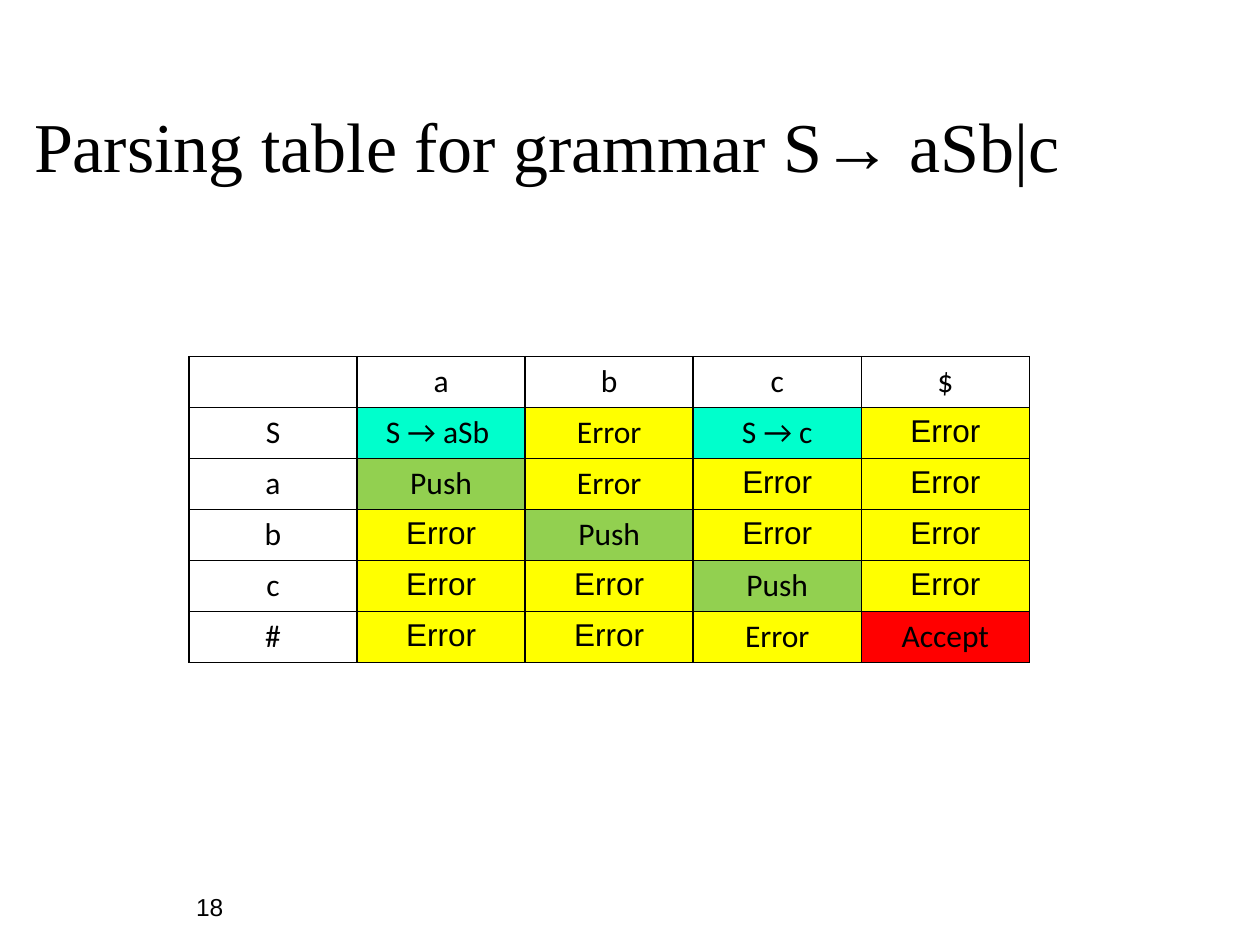
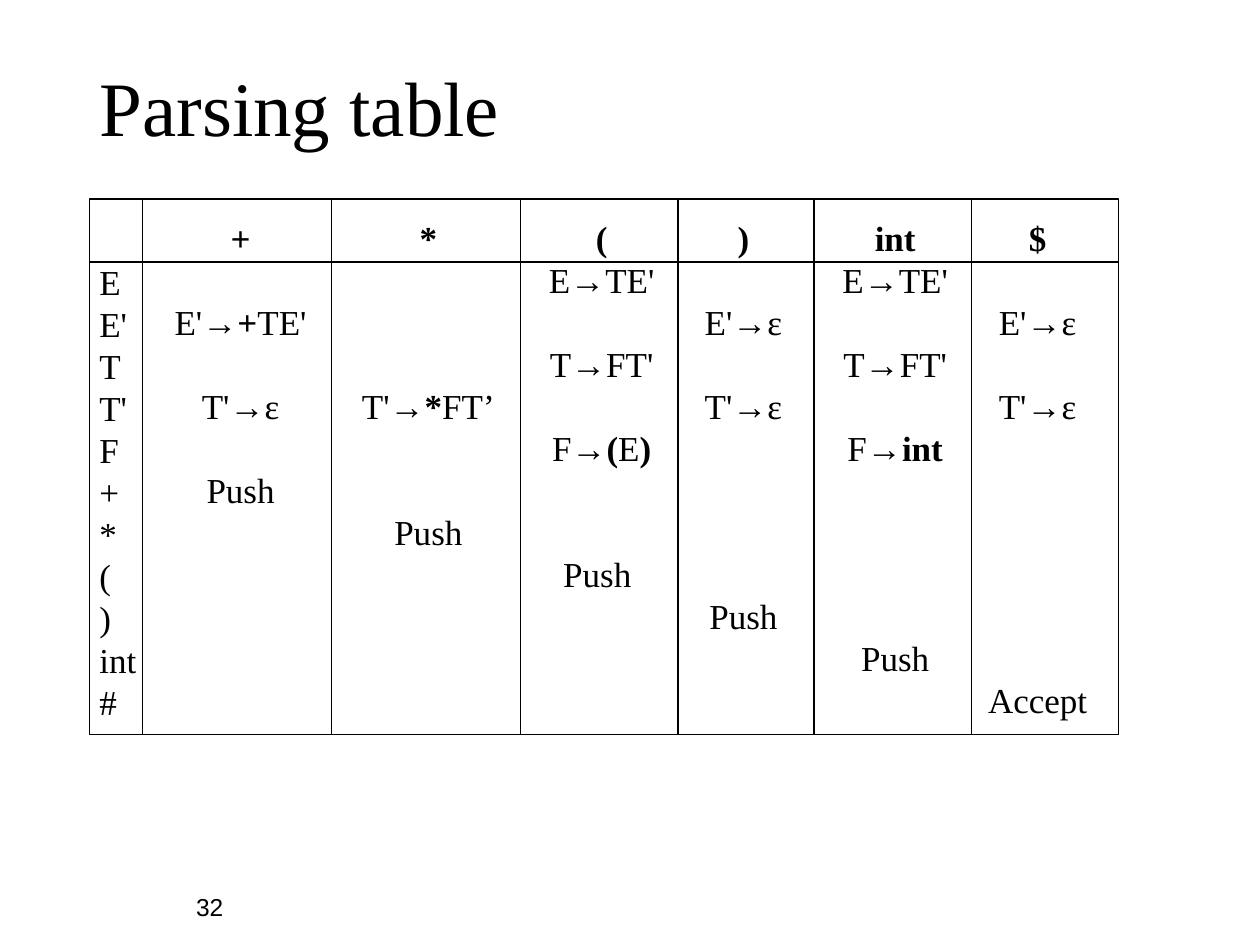
from pptx import Presentation
from pptx.dml.color import RGBColor
from pptx.enum.shapes import MSO_CONNECTOR, MSO_SHAPE
from pptx.enum.text import MSO_ANCHOR, MSO_AUTO_SIZE, PP_ALIGN
from pptx.oxml.ns import qn
from pptx.util import Inches, Pt
from lxml.etree import SubElement

COLORS = {
    "black": "000000",
    "rule": "00FFCC",
    "error": "FFFF00",
    "push": "92D050",
    "accept": "FF0000",
}
BLACK = RGBColor.from_string(COLORS["black"])
SERIF, SANS, TABLE_FONT = "Times New Roman", "Arial", "Calibri"


def format_paragraph(paragraph, font, size, align):
    paragraph.alignment = align
    paragraph.font.name = font
    paragraph.font.size = Pt(size)
    paragraph.font.color.rgb = BLACK


def start_slide(heading, size, box, number):
    """Add a slide with its title and page number."""
    slide = prs.slides.add_slide(prs.slide_layouts[5])
    title = slide.shapes.title
    title.left, title.top, title.width, title.height = map(Inches, box)
    title.text = heading
    title.text_frame.auto_size = MSO_AUTO_SIZE.NONE
    title.text_frame.vertical_anchor = MSO_ANCHOR.MIDDLE
    title.text_frame.paragraphs[0].line_spacing = 0.9
    format_paragraph(title.text_frame.paragraphs[0], SERIF, size, PP_ALIGN.LEFT)

    page = slide.shapes.add_textbox(Inches(0.5), Inches(7), Inches(2.33), Inches(0.4))
    page.text_frame.text = number
    page.text_frame.word_wrap = True
    page.text_frame.vertical_anchor = MSO_ANCHOR.MIDDLE
    format_paragraph(page.text_frame.paragraphs[0], SANS, 14, PP_ALIGN.CENTER)
    return slide


prs = Presentation()
prs.slide_width, prs.slide_height = Inches(10), Inches(7.5)

# Slide 1: coloured table for the small grammar
small = start_slide("Parsing table for grammar S→ aSb|c", 40, (0.17, 0.44, 9.83, 1.5), "18")
actions = [
    ["", "a", "b", "c", "$"],
    ["S", "S → aSb ", "Error", "S → c", "Error"],
    ["a", "Push", "Error", "Error", "Error"],
    ["b", "Error", "Push", "Error", "Error"],
    ["c", "Error", "Error", "Push", "Error"],
    ["#", "Error", "Error", "Error", "Accept"],
]
calibri_errors = {(1, 2), (2, 2), (5, 3)}
action_table = small.shapes.add_table(
    6, 5, Inches(1.5), Inches(2.83), Inches(6.67), Inches(2.43)).table
action_table.first_row = action_table.horz_banding = False

for r, row in enumerate(actions):
    for c, action in enumerate(row):
        cell = action_table.cell(r, c)
        cell.text = action
        is_error = action == "Error"
        font = SANS if is_error and (r, c) not in calibri_errors else TABLE_FONT
        format_paragraph(cell.text_frame.paragraphs[0], font, 18, PP_ALIGN.CENTER)

        # Borders come before the fill in the cell properties
        properties = cell._tc.get_or_add_tcPr()
        for side in ("a:lnL", "a:lnR", "a:lnT", "a:lnB"):
            border = SubElement(properties, qn(side), w=str(Pt(1)))
            solid = SubElement(border, qn("a:solidFill"))
            SubElement(solid, qn("a:srgbClr"), val=COLORS["black"])

        key = "rule" if "→" in action else action.lower()
        if r and c:
            cell.fill.solid()
            cell.fill.fore_color.rgb = RGBColor.from_string(COLORS[key])
        else:
            cell.fill.background()

# Slide 2: expression grammar, one text column per input symbol
expression = start_slide("Parsing table", 44, (0.69, 0.16, 8.62, 1.45), "32")
row_pitch = 24
stack_symbols = ["E", "E'", "T", "T'", "F", "+", "*", "(", ")", "int", "#"]

# Each column: left, top, width, alignment, {row: text}; every second part
# between bars is bold, and row 0 holds the input symbol
columns = [
    (0.69, 2.02, 0.5, PP_ALIGN.LEFT, dict(enumerate(stack_symbols))),
    (1.28, 1.67, 1.26, PP_ALIGN.CENTER,
     {0: "|+", 2: "E'→|+|TE'", 4: "T'→ε", 6: "Push"}),
    (2.77, 1.67, 1.26, PP_ALIGN.CENTER,
     {0: "|*", 4: "T'→|*|FT’", 7: "Push"}),
    (4.25, 1.67, 1.05, PP_ALIGN.CENTER,
     {0: "|(", 1: "E→TE'", 3: "T→FT'", 5: "F→|(|E|)", 8: "Push "}),
    (5.49, 1.67, 0.82, PP_ALIGN.CENTER,
     {0: "|)", 2: "E'→ε", 4: "T'→ε", 9: "Push"}),
    (6.58, 1.67, 1.05, PP_ALIGN.CENTER,
     {0: "|int", 1: "E→TE'", 3: "T→FT'", 5: "F→|int", 10: "Push"}),
    (7.74, 1.67, 0.99, PP_ALIGN.CENTER,
     {0: "|$", 2: "E'→ε", 4: "T'→ε", 11: "Accept"}),
]
for left, top, width, align, entries in columns:
    height = 0.1 + (max(entries) + 1) * row_pitch / 72
    column = expression.shapes.add_textbox(
        Inches(left), Inches(top), Inches(width), Inches(height))
    frame = column.text_frame
    frame.word_wrap = False
    previous = 0
    for row, entry in entries.items():
        paragraph = frame.add_paragraph() if row else frame.paragraphs[0]
        paragraph.line_spacing = Pt(row_pitch)
        if row - previous > 1:
            paragraph.space_before = Pt(row_pitch * (row - previous - 1))
        previous = row
        format_paragraph(paragraph, SERIF, 20, align)
        for i, part in enumerate(entry.split("|")):
            if part:
                run = paragraph.add_run()
                run.text = part
                run.font.bold = i % 2 == 1

# Grid: header rule, column rules and outer frame
grid_left, grid_top, grid_right, grid_bottom = 0.71, 1.58, 8.88, 5.83
rules = [(grid_left, 2.08, grid_right, 2.08)]
rules += [(x, grid_top, x, grid_bottom) for x in (1.13, 2.63, 4.13, 5.38, 6.46, 7.71)]
for ends in rules:
    rule = expression.shapes.add_connector(MSO_CONNECTOR.STRAIGHT, *map(Inches, ends))
    rule.line.color.rgb = BLACK
    rule.line.width = Pt(0.75)
    SubElement(rule._element.spPr, qn("a:effectLst"))

outer = expression.shapes.add_shape(
    MSO_SHAPE.RECTANGLE, Inches(grid_left), Inches(grid_top),
    Inches(grid_right - grid_left), Inches(grid_bottom - grid_top))
outer.shadow.inherit = False
outer.fill.background()
outer.line.color.rgb = BLACK
outer.line.width = Pt(0.75)

prs.save("out.pptx")
